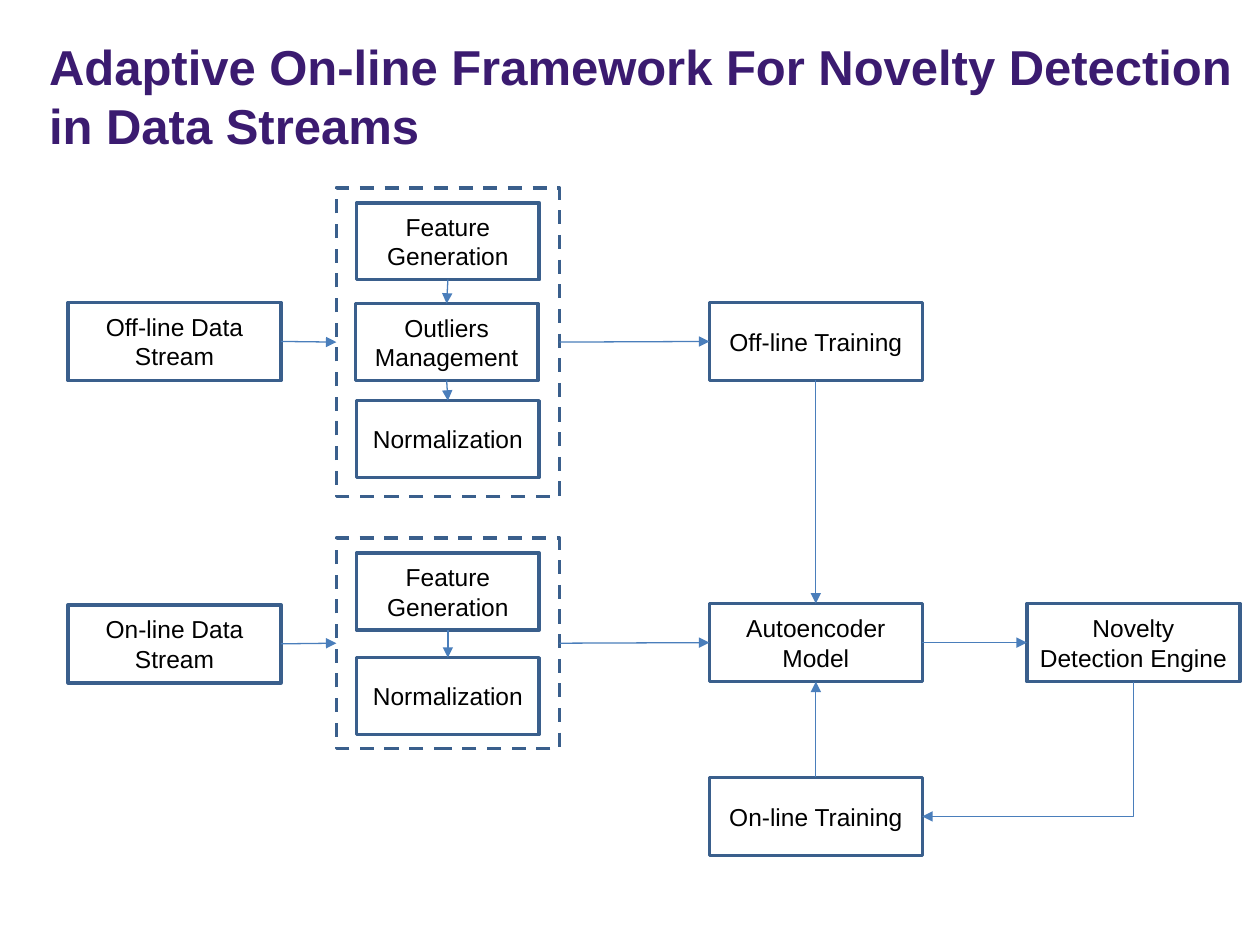
from lxml.etree import SubElement
from pptx import Presentation
from pptx.dml.color import RGBColor
from pptx.enum.dml import MSO_LINE
from pptx.enum.shapes import MSO_CONNECTOR, MSO_SHAPE
from pptx.enum.text import MSO_ANCHOR, MSO_AUTO_SIZE, PP_ALIGN
from pptx.oxml.ns import qn
from pptx.util import Inches, Pt

COLORS = {"title": "3B1B70", "border": "3A5F8C", "arrow": "4A7EBB", "text": "000000"}
FONT = "Arial"
TITLE = "Adaptive On-line Framework For Novelty Detection in Data Streams"

STEP = (1.45, 0.61)
STAGE = (1.69, 0.62)
TOP, LEFT, BOTTOM, RIGHT = range(4)

# name: (label, left, top, size)
BOXES = {
    "offline features": ("Feature Generation", 2.83, 1.61, STEP),
    "outliers": ("Outliers Management", 2.82, 2.41, STEP),
    "offline normalization": ("Normalization", 2.83, 3.18, STEP),
    "online features": ("Feature Generation", 2.83, 4.39, STEP),
    "online normalization": ("Normalization", 2.83, 5.22, STEP),
    "offline stream": ("Off-line Data Stream", 0.54, 2.4, STAGE),
    "online stream": ("On-line Data Stream", 0.54, 4.8, STAGE),
    "offline training": ("Off-line Training", 5.63, 2.4, STAGE),
    "autoencoder": ("Autoencoder Model", 5.63, 4.79, STAGE),
    "novelty engine": ("Novelty Detection Engine", 8.15, 4.79, STAGE),
    "online training": ("On-line Training", 5.63, 6.17, STAGE),
}
# Dashed frames around the preprocessing steps
FRAMES = {
    "offline steps": ("", 2.67, 1.49, (1.77, 2.45)),
    "online steps": ("", 2.67, 4.27, (1.77, 1.67)),
}
ARROWS = [
    ("offline features", BOTTOM, "outliers", TOP),
    ("outliers", BOTTOM, "offline normalization", TOP),
    ("online features", BOTTOM, "online normalization", TOP),
    ("offline stream", RIGHT, "offline steps", LEFT),
    ("online stream", RIGHT, "online steps", LEFT),
    ("offline steps", RIGHT, "offline training", LEFT),
    ("online steps", RIGHT, "autoencoder", LEFT),
    ("offline training", BOTTOM, "autoencoder", TOP),
    ("autoencoder", RIGHT, "novelty engine", LEFT),
    ("online training", TOP, "autoencoder", BOTTOM),
]


def color(name):
    return RGBColor.from_string(COLORS[name])


def format_text(frame, size, color_name, bold=False):
    for paragraph in frame.paragraphs:
        for span in paragraph.runs:
            span.font.name = FONT
            span.font.size = Pt(size)
            span.font.bold = bold
            span.font.color.rgb = color(color_name)


def add_title(page):
    title = page.shapes.title
    title.left, title.top = Inches(0.29), Inches(0.24)
    title.width, title.height = Inches(9.71), Inches(0.56)
    frame = title.text_frame
    frame.text = TITLE
    frame.word_wrap = True
    frame.auto_size = MSO_AUTO_SIZE.NONE
    frame.vertical_anchor = MSO_ANCHOR.TOP
    frame.paragraphs[0].alignment = PP_ALIGN.LEFT
    format_text(frame, 28, "title", bold=True)


def add_box(page, label, left, top, size):
    box = page.shapes.add_shape(
        MSO_SHAPE.RECTANGLE, *(Inches(value) for value in (left, top, *size)))
    box.shadow.inherit = False
    box.fill.background()
    box.line.color.rgb = color("border")
    box.line.width = Pt(2)
    if label:
        frame = box.text_frame
        frame.text = label
        frame.word_wrap = True
        frame.vertical_anchor = MSO_ANCHOR.MIDDLE
        frame.paragraphs[0].alignment = PP_ALIGN.CENTER
        format_text(frame, 14, "text")
    return box


def add_arrow(page, start, start_side, end, end_side, kind=MSO_CONNECTOR.STRAIGHT):
    arrow = page.shapes.add_connector(kind, 0, 0, 0, 0)
    arrow.begin_connect(start, start_side)
    arrow.end_connect(end, end_side)
    arrow.line.color.rgb = color("arrow")
    arrow.line.width = Pt(0.75)
    SubElement(arrow.line._get_or_add_ln(), qn("a:tailEnd"), type="triangle")
    SubElement(arrow._element.spPr, qn("a:effectLst"))
    return arrow


def add_corner_arrow(page, start, end):
    """Run down from the start's bottom, then left to the end's right side."""
    arrow = add_arrow(page, start, BOTTOM, end, RIGHT, MSO_CONNECTOR.ELBOW)
    start_x, start_y = start.left + start.width // 2, start.top + start.height
    end_x, end_y = end.left + end.width, end.top + end.height // 2
    across, down = start_x - end_x, end_y - start_y
    # A quarter turn swaps width and height about the same centre.
    properties = arrow._element.spPr
    properties.find(qn("a:prstGeom")).set("prst", "bentConnector2")
    transform = properties.find(qn("a:xfrm"))
    for flip in ("flipH", "flipV"):
        transform.attrib.pop(flip, None)
    transform.set("rot", str(90 * 60000))
    arrow.left = (start_x + end_x - down) // 2
    arrow.top = (start_y + end_y - across) // 2
    arrow.width, arrow.height = down, across


def main():
    deck = Presentation()
    deck.slide_width, deck.slide_height = Inches(10), Inches(7.5)
    page = deck.slides.add_slide(deck.slide_layouts[5])
    add_title(page)

    shapes = {name: add_box(page, *box) for name, box in (BOXES | FRAMES).items()}
    for name in FRAMES:
        shapes[name].line.dash_style = MSO_LINE.DASH

    for start, start_side, end, end_side in ARROWS:
        add_arrow(page, shapes[start], start_side, shapes[end], end_side)
    add_corner_arrow(page, shapes["novelty engine"], shapes["online training"])
    deck.save("out.pptx")


if __name__ == "__main__":
    main()
